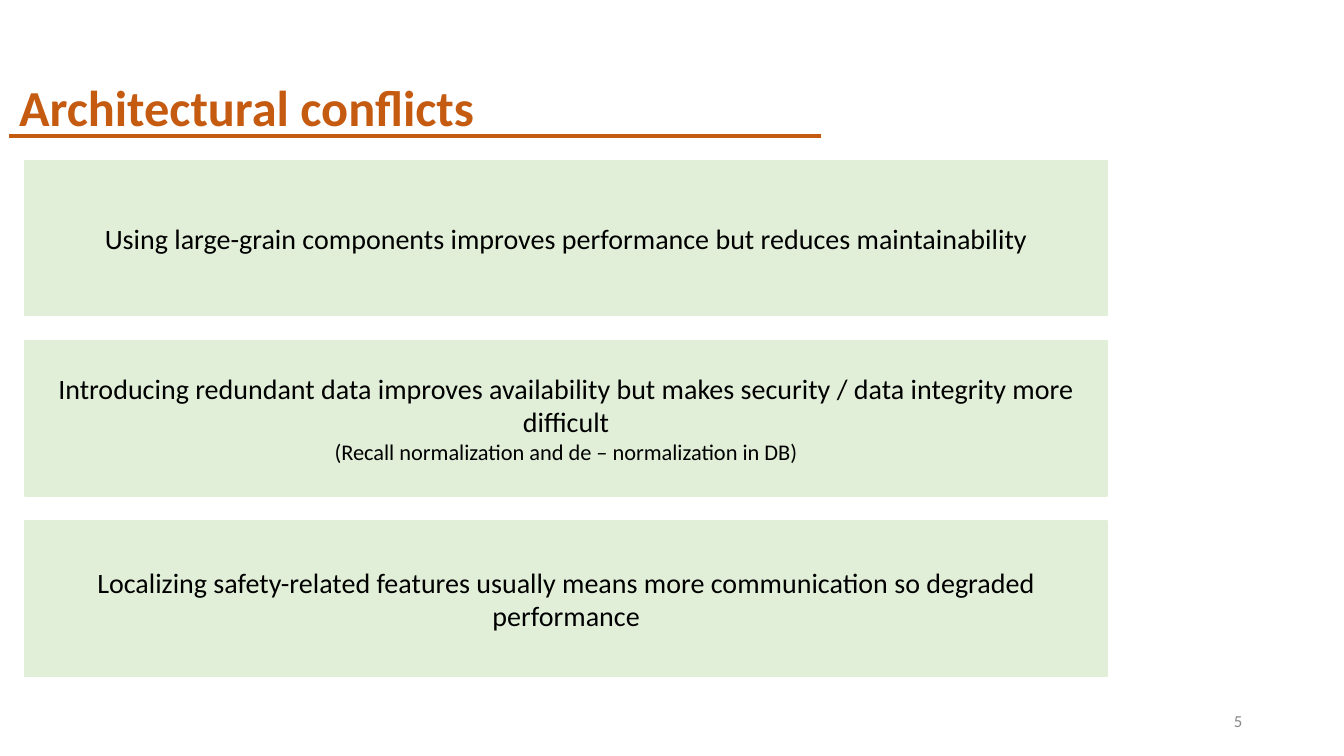
from pptx import Presentation
from pptx.dml.color import RGBColor
from pptx.enum.shapes import MSO_CONNECTOR, MSO_SHAPE
from pptx.enum.text import MSO_ANCHOR, PP_ALIGN
from pptx.oxml.ns import qn
from pptx.util import Inches, Pt
from lxml import etree

ORANGE = RGBColor(0xC5, 0x5A, 0x11)
PALE_GREEN = RGBColor(0xE1, 0xEF, 0xD8)
GREY = RGBColor(0x88, 0x88, 0x88)
BLACK = RGBColor(0, 0, 0)

# Each conflict is a list of (text, size) paragraphs
CONFLICTS = [
    [("Using large-grain components improves performance but reduces maintainability", 20)],
    [("Introducing redundant data improves availability but makes security / "
      "data integrity more difficult", 20),
     ("(Recall normalization and de – normalization in DB)", 16)],
    [("Localizing safety-related features usually means more communication "
      "so degraded performance", 20)],
]
BOX_LEFT, BOX_TOP = 0.25, 1.59
BOX_WIDTH, BOX_HEIGHT = 10.73, 1.54
BOX_PITCH = 1.79


def style_paragraph(paragraph, text, size, color, align, bold=False):
    paragraph.text = text
    paragraph.alignment = align
    font = paragraph.font
    font.name = "Calibri"
    font.size = Pt(size)
    font.bold = bold
    font.color.rgb = color


def add_label(slide, left, top, width, height, text, size, color,
              align=PP_ALIGN.LEFT, anchor=MSO_ANCHOR.TOP, bold=False):
    label = slide.shapes.add_textbox(
        Inches(left), Inches(top), Inches(width), Inches(height))
    frame = label.text_frame
    frame.word_wrap = True
    frame.vertical_anchor = anchor
    style_paragraph(frame.paragraphs[0], text, size, color, align, bold)


def add_title_rule(slide):
    rule = slide.shapes.add_connector(
        MSO_CONNECTOR.STRAIGHT,
        Inches(0.09), Inches(1.35), Inches(8.14), Inches(1.35))
    rule.line.color.rgb = ORANGE
    rule.line.width = Pt(3)
    etree.SubElement(rule._element.spPr, qn("a:effectLst"))


def add_conflict_box(slide, top, paragraphs):
    box = slide.shapes.add_shape(
        MSO_SHAPE.RECTANGLE, Inches(BOX_LEFT), Inches(top),
        Inches(BOX_WIDTH), Inches(BOX_HEIGHT))
    box.shadow.inherit = False
    box.fill.solid()
    box.fill.fore_color.rgb = PALE_GREEN
    box.line.color.rgb = PALE_GREEN
    box.line.width = Pt(1)
    frame = box.text_frame
    frame.word_wrap = True
    frame.vertical_anchor = MSO_ANCHOR.MIDDLE
    for index, (text, size) in enumerate(paragraphs):
        paragraph = frame.add_paragraph() if index else frame.paragraphs[0]
        style_paragraph(paragraph, text, size, BLACK, PP_ALIGN.CENTER)


def main():
    prs = Presentation()
    prs.slide_width, prs.slide_height = Inches(13.33), Inches(7.5)
    slide = prs.slides.add_slide(prs.slide_layouts[6])

    add_label(slide, 0.09, 0.71, 7.51, 0.5, "Architectural conflicts",
              36, ORANGE, bold=True)
    add_title_rule(slide)
    add_label(slide, 9.42, 6.95, 3, 0.4, "5", 12, GREY,
              PP_ALIGN.RIGHT, MSO_ANCHOR.MIDDLE)
    for row, paragraphs in enumerate(CONFLICTS):
        add_conflict_box(slide, BOX_TOP + row * BOX_PITCH, paragraphs)

    prs.save("out.pptx")


if __name__ == "__main__":
    main()
